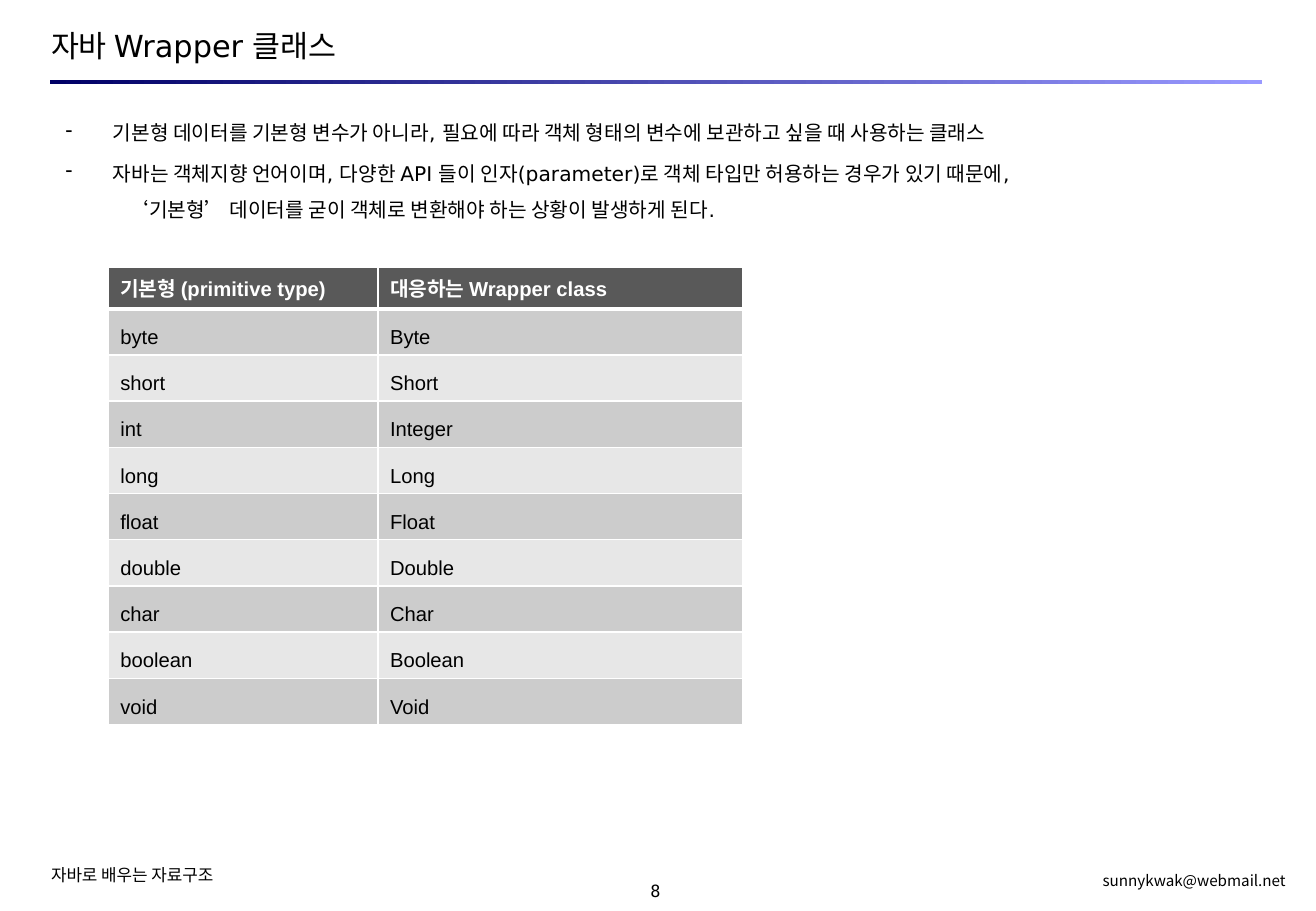
import pptx
import pptx.util
import pptx.dml.color
import pptx.enum.shapes
import pptx.enum.text
import pptx.oxml
import pptx.oxml.ns
from lxml import etree

Inches, Pt = pptx.util.Inches, pptx.util.Pt
ALIGN = pptx.enum.text.PP_ALIGN
ANCHOR = pptx.enum.text.MSO_ANCHOR

COLORS = {
    "text": "000000", "white": "FFFFFF",
    "rule_start": "000066", "rule_end": "9999FF",
    "header": "595959", "odd_row": "CCCCCC", "even_row": "E7E7E7",
}
SANS, MONO, KOREAN, TABLE_FONT = (
    "DejaVu Sans", "DejaVu Sans Mono", "Noto Sans CJK KR", "Arial")

TITLE = "자바 Wrapper 클래스"
# text, bullet, left indent in inches, space before in points
EXPLANATION = [
    ("기본형 데이터를 기본형 변수가 아니라, 필요에 따라 객체 형태의 변수에 보관하고 싶을 때 사용하는 클래스",
     "-", 0.51, 2.4),
    ("자바는 객체지향 언어이며, 다양한 API 들이 인자(parameter)로 객체 타입만 허용하는 경우가 있기 때문에,",
     "-", 0.51, 2.4),
    ("‘기본형’ 데이터를 굳이 객체로 변환해야 하는 상황이 발생하게 된다.", None, 0.64, 0),
]
TYPE_PAIRS = [
    ("기본형 (primitive type)", "대응하는 Wrapper class"),
    ("byte", "Byte"), ("short", "Short"), ("int", "Integer"),
    ("long", "Long"), ("float", "Float"), ("double", "Double"),
    ("char", "Char"), ("boolean", "Boolean"), ("void", "Void"),
]
# text, box, font, size, alignment, anchor
FOOTERS = [
    ("8", (5.06, 7.25, 0.67, 0.17), MONO, 10, ALIGN.CENTER, ANCHOR.MIDDLE),
    ("자바로 배우는 자료구조", (0.4, 7.11, 3.09, 0.19), KOREAN, 10, ALIGN.LEFT, ANCHOR.TOP),
    ("sunnykwak@webmail.net", (7.23, 7.16, 3.37, 0.18), KOREAN, 9, ALIGN.RIGHT, ANCHOR.TOP),
]
COLUMN_WIDTHS = (2.22, 3)
HEADER_HEIGHT, ROW_HEIGHT = 0.34, 0.38
BULLET_HANG = 0.39


def rgb(name):
    return pptx.dml.color.RGBColor.from_string(COLORS[name])


def write(paragraph, text, font=SANS, size=12, color="text", bold=False,
          align=ALIGN.LEFT, spacing=None, before=0):
    run = paragraph.add_run()
    run.text = text
    run.font.name, run.font.size, run.font.bold = font, Pt(size), bold
    run.font.color.rgb = rgb(color)
    east_asian = etree.SubElement(run.font._element, pptx.oxml.ns.qn("a:ea"))
    east_asian.set("typeface", KOREAN)
    paragraph.alignment = align
    paragraph.line_spacing = spacing
    paragraph.space_before = Pt(before)


def clear_insets(frame, anchor):
    frame.word_wrap = True
    frame.auto_size = pptx.enum.text.MSO_AUTO_SIZE.NONE
    frame.vertical_anchor = anchor
    frame.margin_left = frame.margin_right = frame.margin_top = frame.margin_bottom = 0


def indent(paragraph, left, bullet):
    properties = paragraph._p.get_or_add_pPr()
    properties.set("marL", str(Inches(left)))
    properties.set("indent", str(-Inches(BULLET_HANG) if bullet else 0))
    tag = "a:buChar" if bullet else "a:buNone"
    mark = etree.SubElement(properties, pptx.oxml.ns.qn(tag))
    if bullet:
        mark.set("char", bullet)


def draw_borders(cell, bottom):
    """Give the cell white borders, the bottom one of the given width."""
    properties = cell._tc.get_or_add_tcPr()
    widths = {"lnL": 1, "lnR": 1, "lnT": 1, "lnB": bottom}
    for position, (side, width) in enumerate(widths.items()):
        properties.insert(position, pptx.oxml.parse_xml(
            f'<a:{side} {pptx.oxml.ns.nsdecls("a")} w="{Pt(width)}"><a:solidFill>'
            f'<a:srgbClr val="{COLORS["white"]}"/></a:solidFill></a:{side}>'))


def add_type_table(slide):
    heights = [HEADER_HEIGHT] + [ROW_HEIGHT] * (len(TYPE_PAIRS) - 1)
    table = slide.shapes.add_table(
        len(TYPE_PAIRS), len(COLUMN_WIDTHS), Inches(0.89), Inches(2.2),
        Inches(sum(COLUMN_WIDTHS)), Inches(sum(heights))).table
    for column, width in zip(table.columns, COLUMN_WIDTHS):
        column.width = Inches(width)
    for r, (pair, height) in enumerate(zip(TYPE_PAIRS, heights)):
        table.rows[r].height = Inches(height)
        header = r == 0
        fill = "header" if header else "odd_row" if r % 2 else "even_row"
        for c, text in enumerate(pair):
            cell = table.cell(r, c)
            cell.fill.solid()
            cell.fill.fore_color.rgb = rgb(fill)
            draw_borders(cell, bottom=3 if header or r == 0 else 1)
            write(cell.text_frame.paragraphs[0], text, font=TABLE_FONT,
                  color="white" if header else "text", bold=header,
                  spacing=None if header else 1.5, before=6)


def main():
    deck = pptx.Presentation()
    deck.slide_width, deck.slide_height = Inches(10.83), Inches(7.5)
    slide = deck.slides.add_slide(deck.slide_layouts[5])

    title = slide.shapes.title
    title.left, title.top, title.width, title.height = map(Inches, (0.42, 0.22, 9.97, 0.3))
    clear_insets(title.text_frame, ANCHOR.MIDDLE)
    write(title.text_frame.paragraphs[0], TITLE, size=18)

    rule = slide.shapes.add_shape(
        pptx.enum.shapes.MSO_SHAPE.RECTANGLE, *map(Inches, (0.41, 0.66, 9.98, 0.03)))
    rule.shadow.inherit = False
    rule.line.fill.background()
    rule.fill.gradient()
    rule.fill.gradient_angle = 0
    for stop, color in zip(rule.fill.gradient_stops, ("rule_start", "rule_end")):
        stop.color.rgb = rgb(color)

    explanation = slide.shapes.add_textbox(*map(Inches, (0.42, 0.89, 9.97, 0.95))).text_frame
    clear_insets(explanation, ANCHOR.TOP)
    for i, (text, bullet, left, before) in enumerate(EXPLANATION):
        paragraph = explanation.add_paragraph() if i else explanation.paragraphs[0]
        write(paragraph, text, spacing=1.5, before=before)
        indent(paragraph, left, bullet)

    add_type_table(slide)

    for text, box, font, size, align, anchor in FOOTERS:
        footer = slide.shapes.add_textbox(*map(Inches, box)).text_frame
        clear_insets(footer, anchor)
        if anchor == ANCHOR.TOP:
            footer.margin_left = footer.margin_right = Inches(0.02)
            footer.margin_top = footer.margin_bottom = Inches(0.01)
        write(footer.paragraphs[0], text, font=font, size=size, align=align)

    deck.save("out.pptx")


if __name__ == "__main__":
    main()
